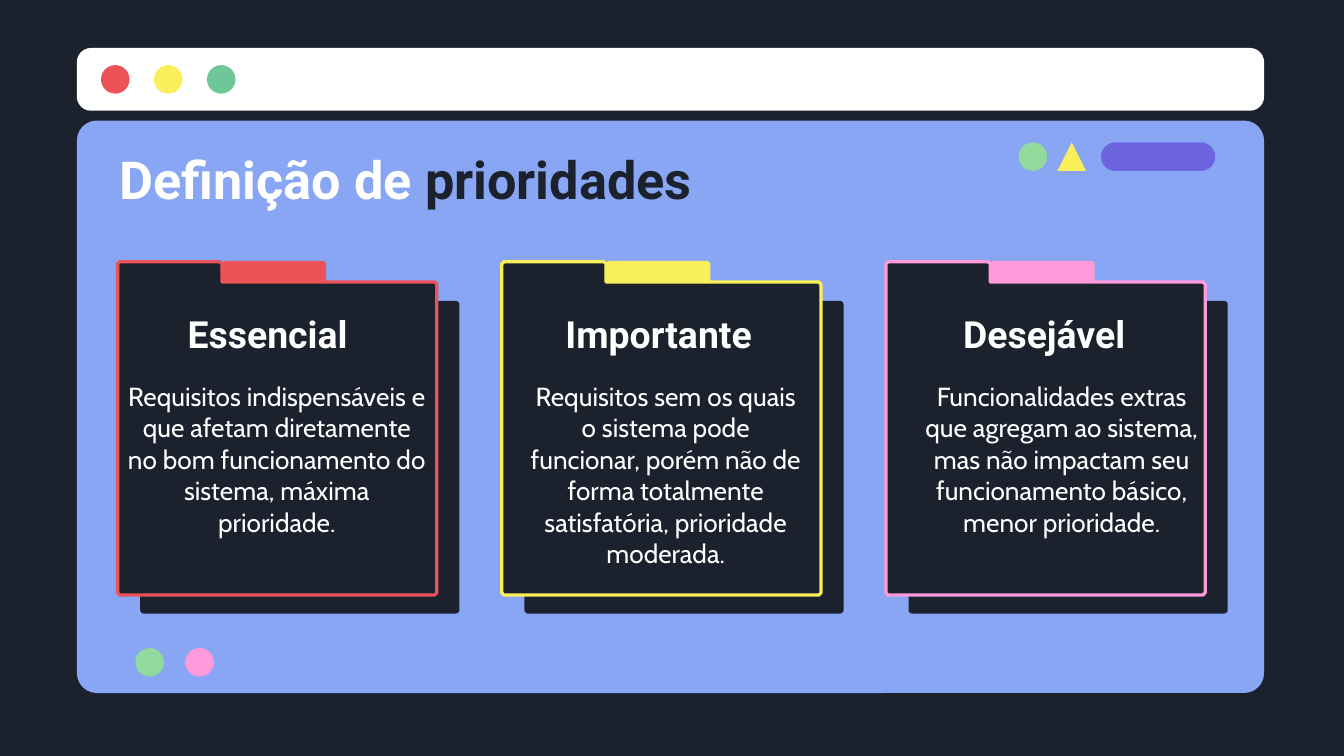
"""Build the slide that sorts requirements into three priority folders."""
from pptx import Presentation
from pptx.dml.color import RGBColor
from pptx.enum import shapes as kinds, text as styles
from pptx.util import Pt

THEME = {
    "dark": "1B222D", "white": "FFFFFF", "panel": "88A6F3", "red": "EB5358",
    "yellow": "F8EF5B", "teal": "6DC797", "green": "92D99C",
    "violet": "6D65E0", "pink": "FF9BDA",
    "heading_font": "Roboto", "body_font": "Cabin",
    "title_size": 28, "folder_size": 20, "body_size": 14, "outline": 1.75,
}
TITLE = [("Definição de ", "white"), ("prioridades", "dark")]
FOLDERS = [
    {"name": "Essencial", "color": "red", "name_at": (72.4, 142), "body_at": (67.7, 161.3),
     "body": "Requisitos indispensáveis e que afetam diretamente no bom "
             "funcionamento do sistema, máxima prioridade."},
    {"name": "Importante", "color": "yellow", "name_at": (275.9, 154), "body_at": (282.2, 149),
     "body": "Requisitos sem os quais o sistema pode funcionar, porém não de "
             "forma totalmente satisfatória, prioridade moderada."},
    {"name": "Desejável", "color": "pink", "name_at": (482.4, 154), "body_at": (491.8, 154),
     "body": "Funcionalidades extras que agregam ao sistema, mas não impactam "
             "seu funcionamento básico, menor prioridade."},
]
OVAL = kinds.MSO_SHAPE.OVAL
ROUNDED = kinds.MSO_SHAPE.ROUNDED_RECTANGLE
TRIANGLE = kinds.MSO_SHAPE.ISOSCELES_TRIANGLE
DOT = 15.3
ORNAMENTS = [
    (ROUNDED, 41.2, 64.6, 636, 306.7, "panel", 10.7),
    (ROUNDED, 41.2, 25.7, 636, 33.6, "white", 7.5),
    *[(OVAL, 54.1 + 28.4 * i, 34.9, DOT, DOT, color, None)
      for i, color in enumerate(("red", "yellow", "teal"))],
    (OVAL, 545.7, 76.3, DOT, DOT, "green", None),
    (TRIANGLE, 566.5, 76.3, DOT, DOT, "yellow", None),
    (ROUNDED, 589.8, 76.3, 61.2, DOT, "violet", DOT / 2),
    (OVAL, 72.6, 347.2, DOT, DOT, "green", None),
    (OVAL, 99.3, 347.2, DOT, DOT, "pink", None),
]
FOLDER_LEFT, FOLDER_STEP, FOLDER_TOP = 63, 205.8, 140.2
FOLDER_WIDTH, FOLDER_HEIGHT = 171, 178.6
TAB_WIDTH, TAB_DROP, CORNER = 55.9, 10.9, 1.2


def rgb(name):
    return RGBColor.from_string(THEME[name])


def paint(shape, color):
    shape.shadow.inherit = False
    shape.fill.solid()
    shape.fill.fore_color.rgb = rgb(color)
    shape.line.fill.background()


def add_part(slide, kind, left, top, width, height, color, radius=None):
    part = slide.shapes.add_shape(kind, Pt(left), Pt(top), Pt(width), Pt(height))
    paint(part, color)
    if radius:
        part.adjustments[0] = radius / min(width, height)


def write(holder, box, runs, font, size, bold, align, anchor, side=7.2):
    holder.left, holder.top, holder.width, holder.height = map(Pt, box)
    frame = holder.text_frame
    frame.word_wrap = True
    frame.auto_size = styles.MSO_AUTO_SIZE.NONE
    frame.vertical_anchor = anchor
    frame.margin_left = frame.margin_right = Pt(side)
    frame.margin_top = frame.margin_bottom = Pt(7.2)
    paragraph = frame.paragraphs[0]
    paragraph.alignment = align
    for words, color in runs:
        run = paragraph.add_run()
        run.text = words
        run.font.name = THEME[font]
        run.font.size = Pt(THEME[size])
        run.font.bold = bold
        run.font.color.rgb = rgb(color)


def add_front(slide, left, color):
    right, bottom = left + FOLDER_WIDTH, FOLDER_TOP + FOLDER_HEIGHT
    tab, shoulder = left + TAB_WIDTH, FOLDER_TOP + TAB_DROP
    outline = [
        (left + CORNER, FOLDER_TOP), (tab - CORNER, FOLDER_TOP),
        (tab, FOLDER_TOP + CORNER), (tab, shoulder),
        (right - CORNER, shoulder), (right, shoulder + CORNER),
        (right, bottom - CORNER), (right - CORNER, bottom),
        (left + CORNER, bottom), (left, bottom - CORNER),
        (left, FOLDER_TOP + CORNER),
    ]
    corners = [(Pt(x), Pt(y)) for x, y in outline]
    builder = slide.shapes.build_freeform(*corners[0])
    builder.add_line_segments(corners[1:], close=True)
    front = builder.convert_to_shape()
    paint(front, "dark")
    front.line.color.rgb = rgb(color)
    front.line.width = Pt(THEME["outline"])


def add_folder(slide, left, folder):
    add_part(slide, ROUNDED, left + 12.1, 161.2, FOLDER_WIDTH, 167.5, "dark", 1.9)
    add_part(slide, ROUNDED, left + TAB_WIDTH, 139.8, TAB_WIDTH, 21.2, folder["color"], 1.9)
    add_front(slide, left, folder["color"])
    center, top = styles.PP_ALIGN.CENTER, styles.MSO_ANCHOR.TOP
    name_left, name_width = folder["name_at"]
    body_left, body_width = folder["body_at"]
    write(slide.shapes.add_textbox(0, 0, 0, 0), (name_left, 161.6, name_width, 34.6),
          [(folder["name"], "white")], "heading_font", "folder_size", True,
          center, styles.MSO_ANCHOR.MIDDLE)
    write(slide.shapes.add_textbox(0, 0, 0, 0), (body_left, 196.6, body_width, 118),
          [(folder["body"], "white")], "body_font", "body_size", False, center, top, 0)


def main():
    deck = Presentation()
    deck.slide_width, deck.slide_height = Pt(720), Pt(405)
    slide = deck.slides.add_slide(deck.slide_layouts[5])
    slide.background.fill.solid()
    slide.background.fill.fore_color.rgb = rgb("dark")
    for ornament in ORNAMENTS:
        add_part(slide, *ornament)
    for position, folder in enumerate(FOLDERS):
        add_folder(slide, FOLDER_LEFT + position * FOLDER_STEP, folder)
    write(slide.shapes.title, (56.9, 76.3, 383.8, 38.2), TITLE, "heading_font",
          "title_size", True, styles.PP_ALIGN.LEFT, styles.MSO_ANCHOR.MIDDLE)
    slide.shapes._spTree.append(slide.shapes.title._element)
    deck.save("out.pptx")


if __name__ == "__main__":
    main()
